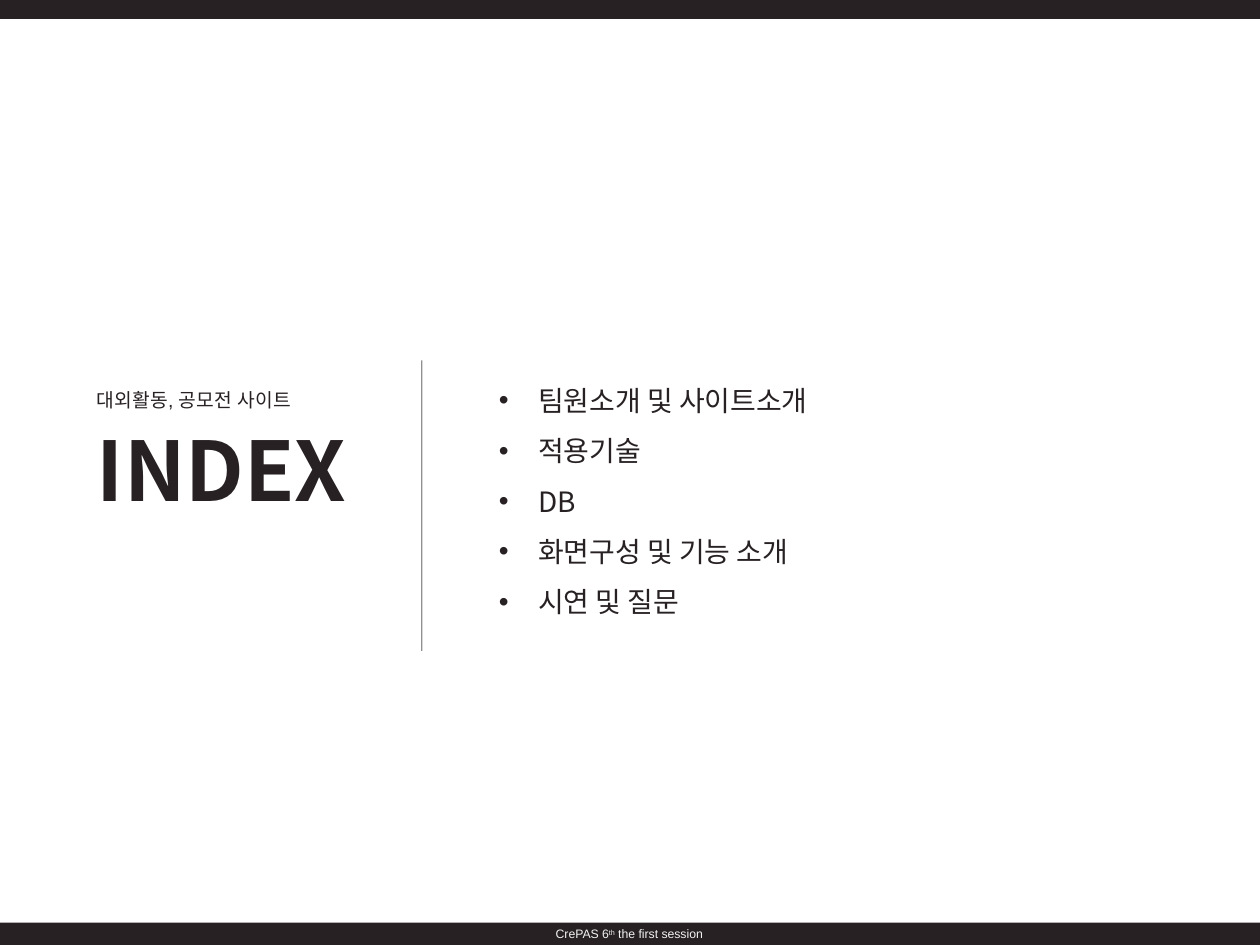
from dataclasses import dataclass

from lxml.etree import SubElement
from pptx import Presentation
from pptx.dml.color import RGBColor
from pptx.enum.shapes import MSO_CONNECTOR, MSO_SHAPE
from pptx.enum.text import MSO_ANCHOR, MSO_AUTO_SIZE, PP_ALIGN
from pptx.oxml.ns import qn
from pptx.util import Pt


@dataclass(frozen=True)
class Theme:
    ink: str = "272123"
    pale: str = "F2F2F2"
    display: str = "Noto Sans CJK KR"
    plain: str = "Arial"
    title_size: float = 47
    list_size: float = 16
    subtitle_size: float = 11
    footer_size: float = 7


def write(paragraph, text, *, font, size, color, bold=False, raised=0):
    """Add one formatted run to a paragraph."""
    run = paragraph.add_run()
    run.text = text
    run.font.size = Pt(size)
    run.font.bold = bold
    run.font.color.rgb = RGBColor.from_string(color)
    run.font.name = font
    properties = run.font._element
    SubElement(properties, qn("a:ea"), typeface=font)
    if raised:
        properties.set("baseline", str(raised * 1000))


class SlideBuilder:
    def __init__(self, slide, theme):
        self.slide = slide
        self.theme = theme

    def place(self, holder, left, top, width, height):
        holder.left, holder.top = Pt(left), Pt(top)
        holder.width, holder.height = Pt(width), Pt(height)
        frame = holder.text_frame
        frame.word_wrap = True
        frame.auto_size = MSO_AUTO_SIZE.NONE
        frame.vertical_anchor = MSO_ANCHOR.TOP
        return frame

    def title(self, text, *box):
        paragraph = self.place(self.slide.shapes.title, *box).paragraphs[0]
        paragraph.alignment = PP_ALIGN.LEFT
        write(paragraph, text, font=self.theme.display,
              size=self.theme.title_size, color=self.theme.ink, bold=True)

    def bullets(self, items, *box, indent=22.5):
        frame = self.place(self.slide.placeholders[1], *box)
        for number, item in enumerate(items):
            paragraph = frame.add_paragraph() if number else frame.paragraphs[0]
            properties = paragraph._p.get_or_add_pPr()
            properties.set("marL", str(Pt(indent)))
            properties.set("indent", str(-Pt(indent)))
            bullet_color = SubElement(properties, qn("a:buClr"))
            SubElement(bullet_color, qn("a:srgbClr"), val=self.theme.ink)
            SubElement(properties, qn("a:buFont"), typeface=self.theme.plain)
            SubElement(properties, qn("a:buChar"), char="•")
            paragraph.line_spacing = 1.5
            paragraph.space_before = Pt(0)
            write(paragraph, item, font=self.theme.display,
                  size=self.theme.list_size, color=self.theme.ink)

    def label(self, text, *box):
        holder = self.slide.shapes.add_textbox(0, 0, 0, 0)
        write(self.place(holder, *box).paragraphs[0], text,
              font=self.theme.plain, size=self.theme.subtitle_size,
              color=self.theme.ink)

    def divider(self, x, top, bottom):
        line = self.slide.shapes.add_connector(
            MSO_CONNECTOR.STRAIGHT, Pt(x), Pt(top), Pt(x), Pt(bottom))
        line.line.width = Pt(0.75)
        line.line.color.rgb = RGBColor.from_string(self.theme.ink)
        color = line.line._ln.find(".//" + qn("a:srgbClr"))
        SubElement(color, qn("a:alpha"), val="49000")
        SubElement(line._element.spPr, qn("a:effectLst"))

    def band(self, *box):
        bar = self.slide.shapes.add_shape(
            MSO_SHAPE.RECTANGLE, *(Pt(length) for length in box))
        bar.shadow.inherit = False
        bar.fill.solid()
        bar.fill.fore_color.rgb = RGBColor.from_string(self.theme.ink)
        bar.line.fill.background()
        return bar.text_frame

    def footer(self, parts, *box):
        frame = self.band(*box)
        frame.vertical_anchor = MSO_ANCHOR.MIDDLE
        paragraph = frame.paragraphs[0]
        paragraph.alignment = PP_ALIGN.CENTER
        for text, raised in parts:
            write(paragraph, text, font=self.theme.plain, raised=raised,
                  size=self.theme.footer_size, color=self.theme.pale)


def main():
    deck = Presentation()
    deck.slide_width, deck.slide_height = Pt(720), Pt(540)
    index = SlideBuilder(deck.slides.add_slide(deck.slide_layouts[1]), Theme())

    # Heading on the left
    index.title("INDEX", 48.2, 236.2, 262.8, 64.1)
    index.label("대외활동, 공모전 사이트", 48.2, 218.2, 262.8, 20.9)

    # Divider and contents
    index.divider(241, 206, 372)
    contents = ["팀원소개 및 사이트소개", "적용기술", "DB",
                "화면구성 및 기능 소개", "시연 및 질문"]
    index.bullets(contents, 277.9, 206, 411.1, 182.9)

    # Bands at the bottom and top edges
    band_left, band_width, band_height = -34.6, 788.4, 13
    index.footer([("CrePAS 6", 0), ("th", 30), (" the first session", 0)],
                 band_left, 527.2, band_width, band_height)
    index.band(band_left, -2.2, band_width, band_height)

    deck.save("out.pptx")


if __name__ == "__main__":
    main()
